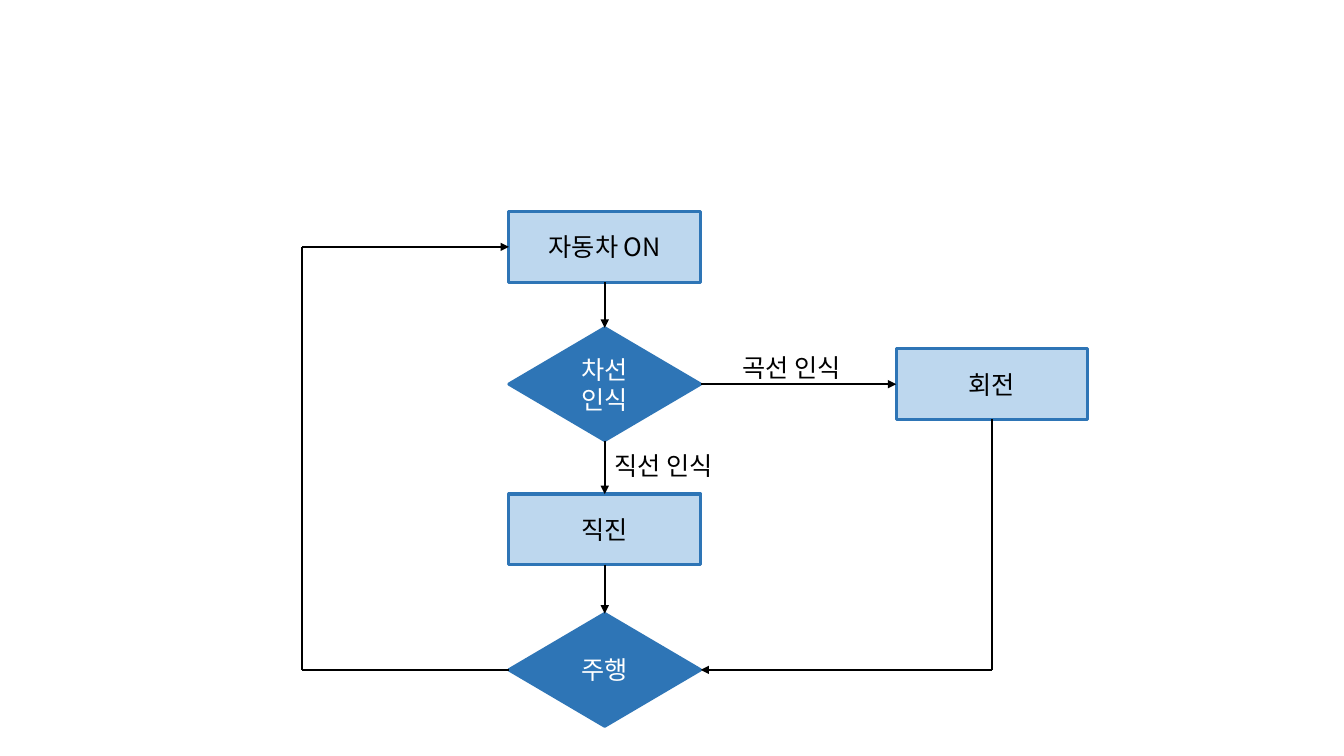
from lxml.etree import SubElement
from pptx import Presentation
from pptx.dml.color import RGBColor
from pptx.enum.shapes import MSO_CONNECTOR, MSO_SHAPE
from pptx.enum.text import MSO_ANCHOR, MSO_AUTO_SIZE, PP_ALIGN
from pptx.oxml.ns import qn
from pptx.util import Cm, Pt

FONT = "Noto Sans CJK KR"
HUES = {"pale": "BDD7EE", "blue": "2E75B6", "black": "000000", "white": "FFFFFF"}

WIDE = 4.83
BOX_H, GEM_H = 1.78, 2.84
MID_X, TURN_X, LOOP_X = 15.24, 25, 7.62
ON_Y, LANE_Y, AHEAD_Y, DRIVE_Y = 6.22, 9.68, 13.34, 16.88


def hue(name):
    return RGBColor.from_string(HUES[name])


def add_text(frame, text, tint):
    run = frame.paragraphs[0].add_run()
    run.text = text
    run.font.size = Pt(18)
    run.font.name = FONT
    run.font.color.rgb = hue(tint)
    SubElement(run.font._element, qn("a:ea"), typeface=FONT)


def add_node(slide, kind, x, y, high, text, fill, tint):
    """Add a flowchart shape centred on x, y."""
    node = slide.shapes.add_shape(
        kind, Cm(x - WIDE / 2), Cm(y - high / 2), Cm(WIDE), Cm(high))
    node.shadow.inherit = False
    node.fill.solid()
    node.fill.fore_color.rgb = hue(fill)
    node.line.color.rgb = hue("blue")
    node.line.width = Pt(2.25)
    frame = node.text_frame
    frame.word_wrap = True
    frame.vertical_anchor = MSO_ANCHOR.MIDDLE
    frame.paragraphs[0].alignment = PP_ALIGN.CENTER
    add_text(frame, text, tint)


def add_step(slide, x, y, text):
    add_node(slide, MSO_SHAPE.FLOWCHART_PROCESS, x, y, BOX_H, text, "pale", "black")


def add_gem(slide, x, y, text):
    add_node(slide, MSO_SHAPE.FLOWCHART_DECISION, x, y, GEM_H, text, "blue", "white")


def add_route(slide, *stops):
    """Join the stops with straight lines; the last one gets an arrowhead."""
    for start, end in zip(stops, stops[1:]):
        line = slide.shapes.add_connector(
            MSO_CONNECTOR.STRAIGHT, *(Cm(v) for v in start + end))
        line.line.color.rgb = hue("black")
        line.line.width = Pt(1.5)
        SubElement(line._element.spPr, qn("a:effectLst"))
    SubElement(line.line._get_or_add_ln(), qn("a:tailEnd"), type="triangle")


def add_label(slide, x, y, text):
    label = slide.shapes.add_textbox(Cm(x), Cm(y), Cm(3.3), Cm(1.03))
    frame = label.text_frame
    frame.word_wrap = False
    frame.auto_size = MSO_AUTO_SIZE.SHAPE_TO_FIT_TEXT
    add_text(frame, text, "black")


def main():
    deck = Presentation()
    deck.slide_width, deck.slide_height = Cm(33.87), Cm(19.05)
    slide = deck.slides.add_slide(deck.slide_layouts[6])

    add_step(slide, MID_X, ON_Y, "자동차 ON")
    add_gem(slide, MID_X, LANE_Y, "차선 인식")
    add_step(slide, MID_X, AHEAD_Y, "직진")
    add_gem(slide, MID_X, DRIVE_Y, "주행")
    add_step(slide, TURN_X, LANE_Y, "회전")

    box, gem, side = BOX_H / 2, GEM_H / 2, WIDE / 2
    left, right = MID_X - side, MID_X + side
    add_route(slide, (MID_X, ON_Y + box), (MID_X, LANE_Y - gem))
    add_route(slide, (MID_X, LANE_Y + gem), (MID_X, AHEAD_Y - box))
    add_route(slide, (MID_X, AHEAD_Y + box), (MID_X, DRIVE_Y - gem))
    add_route(slide, (right, LANE_Y), (TURN_X - side, LANE_Y))
    add_route(slide, (TURN_X, LANE_Y + box), (TURN_X, DRIVE_Y), (right, DRIVE_Y))
    add_route(slide, (left, DRIVE_Y), (LOOP_X, DRIVE_Y), (LOOP_X, ON_Y), (left, ON_Y))

    add_label(slide, 18.47, 8.76, "곡선 인식")
    add_label(slide, MID_X, 11.23, "직선 인식")
    deck.save("out.pptx")


if __name__ == "__main__":
    main()
